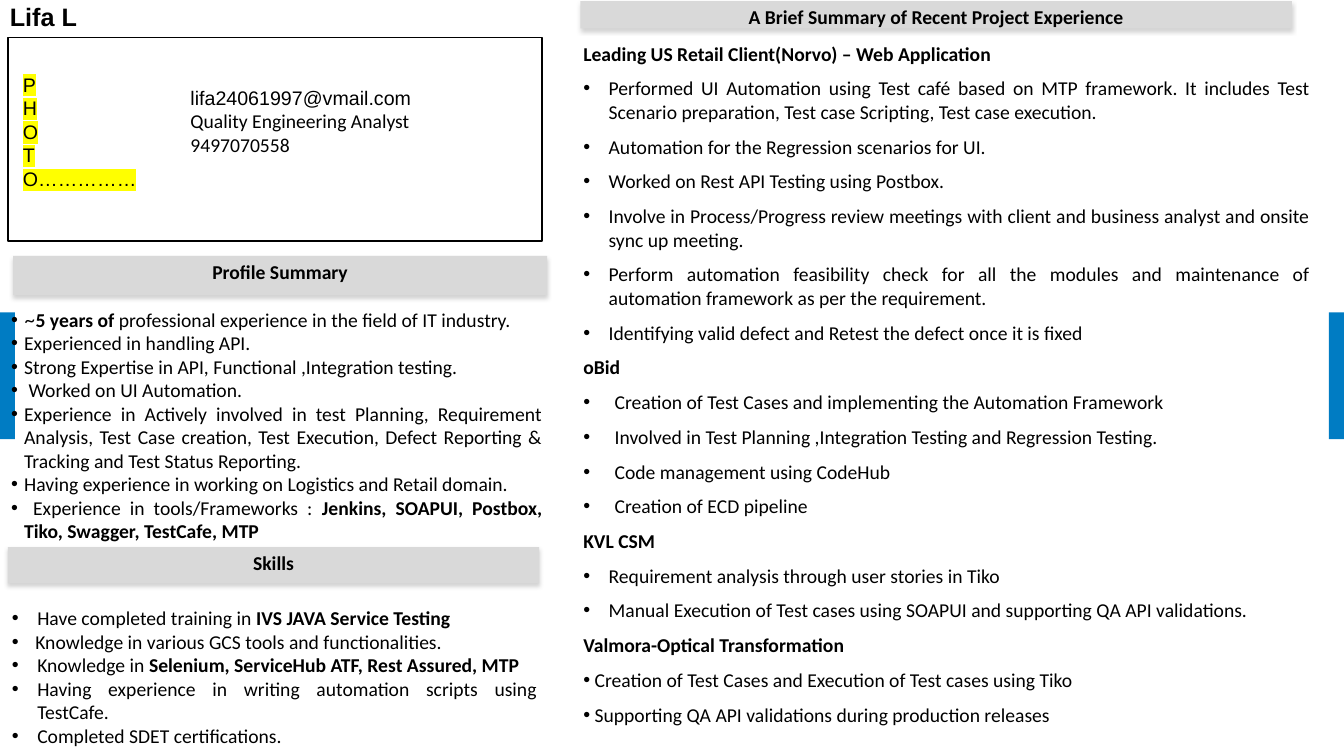
import dataclasses

import lxml.etree
import pptx
import pptx.dml.color
import pptx.enum.shapes
import pptx.enum.text
import pptx.oxml
import pptx.oxml.ns
import pptx.util

Cm = pptx.util.Cm
Pt = pptx.util.Pt
Align = pptx.enum.text.PP_ALIGN
qn = pptx.oxml.ns.qn


@dataclasses.dataclass(frozen=True)
class Theme:
    text: str = "000000"
    paper: str = "FFFFFF"
    band: str = "D9D9D9"
    accent: str = "007CC3"
    marker: str = "FFFF00"
    shadow: str = "808080"
    name_size: int = 18
    body_size: int = 14
    body_font: str = "Calibri"
    label_font: str = "Arial"
    symbol_font: str = "Lato"


SHADOW = """<a:effectLst xmlns:a="http://schemas.openxmlformats.org/drawingml/2006/main">
<a:outerShdw blurRad="{blur}" dist="{distance}" dir="5400000" algn="t" rotWithShape="0">
<a:srgbClr val="{color}"><a:alpha val="35000"/></a:srgbClr></a:outerShdw></a:effectLst>"""


class ResumeSlide:
    def __init__(self, slide, theme):
        self.slide = slide
        self.theme = theme

    def color(self, value):
        return pptx.dml.color.RGBColor.from_string(value)

    def rectangle(self, box, fill, line=None):
        shape = self.slide.shapes.add_shape(
            pptx.enum.shapes.MSO_SHAPE.RECTANGLE, *map(Cm, box))
        shape.shadow.inherit = False
        shape.fill.solid()
        shape.fill.fore_color.rgb = self.color(fill)
        if line:
            shape.line.color.rgb = self.color(line)
            shape.line.width = Pt(1)
        else:
            shape.line.fill.background()
        return shape

    def heading(self, box, text):
        shape = self.rectangle(box, self.theme.band)
        properties = shape._element.spPr
        properties.remove(properties.find(qn("a:effectLst")))
        properties.append(pptx.oxml.parse_xml(SHADOW.format(
            blur=Pt(3.1), distance=Pt(1.8), color=self.theme.shadow)))
        self.frame(shape, (0, 0.1))
        self.paragraph(shape.text_frame.paragraphs[0], [(text, {"bold": True})],
                       {"alignment": Align.CENTER})

    def frame(self, shape, insets):
        across, down = map(Cm, insets)
        settings = {"word_wrap": True, "vertical_anchor": pptx.enum.text.MSO_ANCHOR.TOP,
                    "margin_left": across, "margin_right": across,
                    "margin_top": down, "margin_bottom": down}
        for name, value in settings.items():
            setattr(shape.text_frame, name, value)

    def text(self, box, paragraphs, insets=(0.25, 0.13)):
        """Each paragraph is (runs, format); runs are a string or (text, font) pairs."""
        shape = self.slide.shapes.add_textbox(*map(Cm, box))
        self.frame(shape, insets)
        for index, (runs, layout) in enumerate(paragraphs):
            paragraph = (shape.text_frame.add_paragraph() if index
                         else shape.text_frame.paragraphs[0])
            self.paragraph(paragraph, runs, layout)
            if index == 0:
                paragraph.space_before = Pt(0)

    def paragraph(self, paragraph, runs, layout):
        layout = dict(layout)
        indent = layout.pop("indent", None)
        if indent is not None:
            properties = paragraph._p.get_or_add_pPr()
            properties.set("marL", str(Cm(indent)))
            properties.set("indent", str(-Cm(indent)))
            bullet_font = lxml.etree.SubElement(properties, qn("a:buFont"))
            bullet_font.set("typeface", self.theme.label_font)
            lxml.etree.SubElement(properties, qn("a:buChar")).set("char", "•")
        for name, value in layout.items():
            setattr(paragraph, name, value)
        for text, style in [(runs, {})] if isinstance(runs, str) else runs:
            self.run(paragraph, text, dict(style))

    def run(self, paragraph, text, style):
        highlight = style.pop("highlight", None)
        run = paragraph.add_run()
        run.text = text
        run.font.color.rgb = self.color(self.theme.text)
        defaults = {"name": self.theme.body_font, "size": Pt(self.theme.body_size),
                    "bold": False}
        for name, value in (defaults | style).items():
            setattr(run.font, name, value)
        if highlight:
            element = lxml.etree.Element(qn("a:highlight"))
            lxml.etree.SubElement(element, qn("a:srgbClr")).set("val", highlight)
            run._r.rPr.find(qn("a:solidFill")).addnext(element)


def main():
    presentation = pptx.Presentation()
    presentation.slide_width = Cm(33.87)
    presentation.slide_height = Cm(19.05)
    theme = Theme()
    resume = ResumeSlide(
        presentation.slides.add_slide(presentation.slide_layouts[6]), theme)

    bold = {"bold": True}
    label = {"name": theme.label_font}
    justified = {"alignment": Align.JUSTIFY}
    spaced = {"space_before": Pt(8)}

    # Side tabs
    for left in (0, 33.49):
        resume.rectangle((left, 7.87, 0.38, 3.2), theme.accent)

    # Name and section headings
    resume.text((0, 0, 30.76, 1.35),
                [([("Lifa L", label | bold | {"size": Pt(theme.name_size)})],
                  {"line_spacing": 0.9})])
    resume.heading((0.2, 13.79, 13.39, 0.91), "Skills")
    resume.heading((0.33, 6.45, 13.46, 0.99), "Profile Summary")
    resume.heading((14.63, 0.03, 17.93, 0.69),
                   "A Brief Summary of Recent Project Experience")

    # Contact card with photo marker
    resume.rectangle((0.2, 0.94, 13.46, 5.13), theme.paper, theme.text)
    resume.text((4.52, 2.03, 8.76, 2.06), [
        ([("lifa24061997@vmail.com", label)], justified),
        ("Quality Engineering Analyst", justified),
        ("9497070558", justified)], insets=(0.28, 0.13))
    marked = label | {"highlight": theme.marker}
    resume.text((0.33, 1.7, 4.17, 3.25),
                [([(line, marked)], {}) for line in ("P", "H", "O", "T", "O……………")])

    # Profile summary
    profile = [
        [("~", {"name": theme.symbol_font}), ("5 years of ", bold),
         ("professional experience in the field of IT industry.", {})],
        "Experienced in handling API.",
        "Strong Expertise in API, Functional ,Integration testing.",
        " Worked on UI Automation.",
        "Experience in Actively involved in test Planning, Requirement Analysis, Test Case "
        "creation, Test Execution, Defect Reporting & Tracking and Test Status Reporting.",
        "Having experience in working on Logistics and Retail domain.",
        [(" Experience in tools/Frameworks : ", {}),
         ("Jenkins, SOAPUI, Postbox, Tiko, Swagger, TestCafe, MTP", bold)],
    ]
    resume.text((0.28, 7.57, 13.39, 6.32),
                [(runs, justified | {"indent": 0.33}) for runs in profile],
                insets=(0, 0.18))

    # Skills, as (runs, indent)
    skills = [
        ([("Have completed training in ", {}), ("IVS JAVA Service Testing ", bold)], 0.64),
        (" Knowledge in various GCS tools and functionalities.", 0.48),
        ([("Knowledge in ", {}),
          ("Selenium, ServiceHub ATF, Rest Assured, MTP", bold)], 0.64),
        ("Having experience in writing automation scripts using TestCafe.", 0.64),
        ("Completed SDET certifications.", 0.64),
    ]
    resume.text((0.05, 15.14, 13.74, 3.9),
                [(runs, justified | {"indent": indent}) for runs, indent in skills])

    # Project experience, as (client, alignment, bullet indent, tasks)
    projects = [
        ("Leading US Retail Client(Norvo) – Web Application", Align.JUSTIFY, 0.64, [
            "Performed UI Automation using Test café based on MTP framework. It includes "
            "Test Scenario preparation, Test case Scripting, Test case execution.",
            "Automation for the Regression scenarios for UI.",
            "Worked on Rest API Testing using Postbox.",
            "Involve in Process/Progress review meetings with client and business analyst "
            "and onsite sync up meeting.",
            "Perform automation feasibility check for all the modules and maintenance of "
            "automation framework as per the requirement.",
            "Identifying valid defect and Retest the defect once it is fixed"]),
        ("oBid", Align.JUSTIFY, 0.79, [
            "Creation of Test Cases and implementing the Automation Framework",
            "Involved in Test Planning ,Integration Testing and Regression Testing.",
            "Code management using CodeHub",
            "Creation of ECD pipeline"]),
        ("KVL CSM", Align.JUSTIFY, 0.64, [
            "Requirement analysis through user stories in Tiko",
            "Manual Execution of Test cases using SOAPUI and supporting QA API validations."]),
        ("Valmora-Optical Transformation", Align.LEFT, 0, [
            " Creation of Test Cases and Execution of Test cases using Tiko",
            " Supporting QA API validations during production releases"]),
    ]
    lines = []
    for client, alignment, indent, tasks in projects:
        layout = spaced | {"alignment": alignment}
        lines.append(([(client, bold)], layout))
        lines += [(task, layout | {"indent": indent}) for task in tasks]
    resume.text((14.45, 0.92, 18.82, 18.1), lines)

    presentation.save("out.pptx")


if __name__ == "__main__":
    main()
